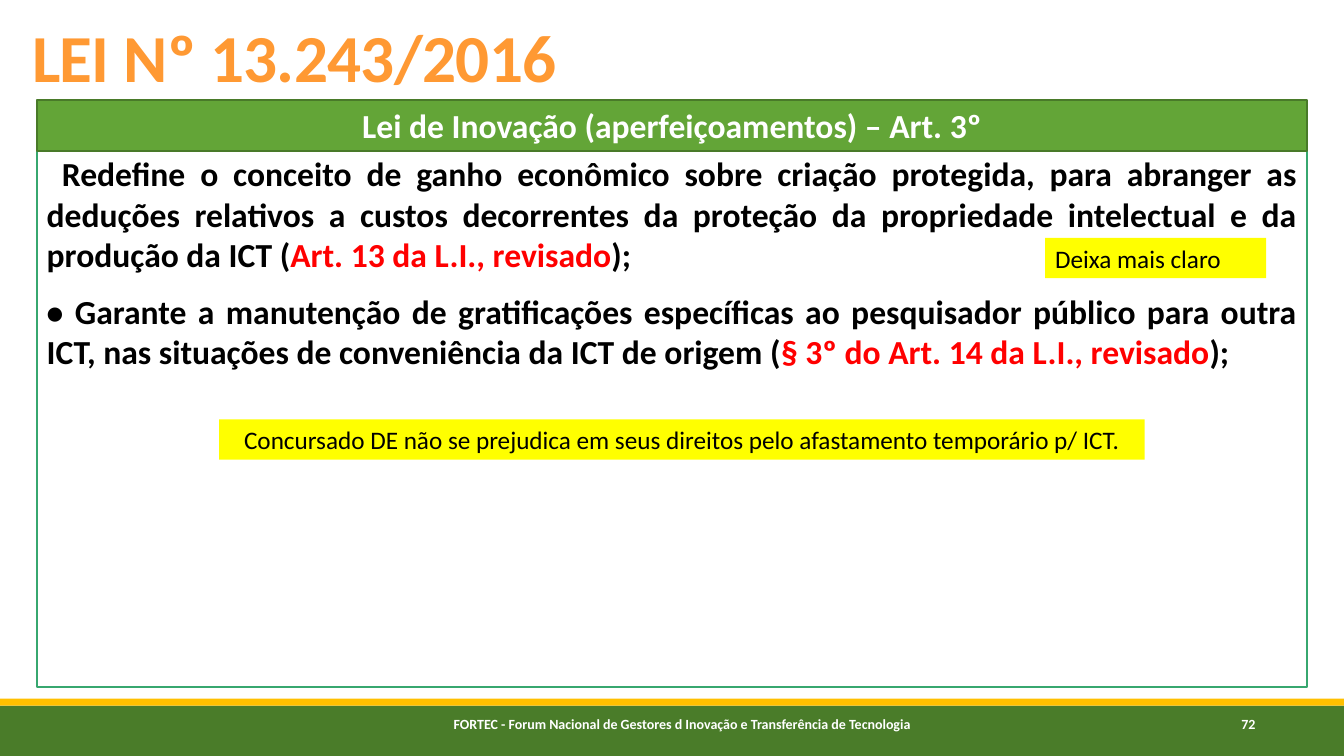
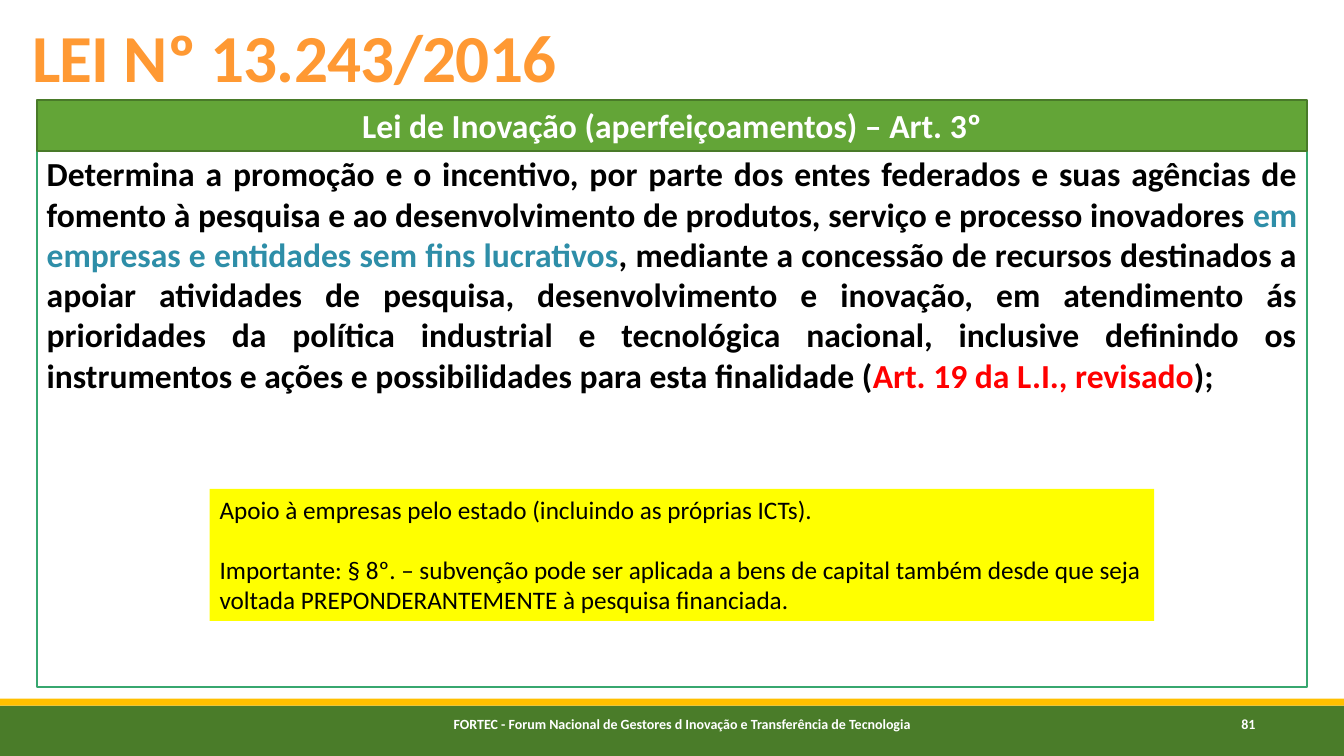
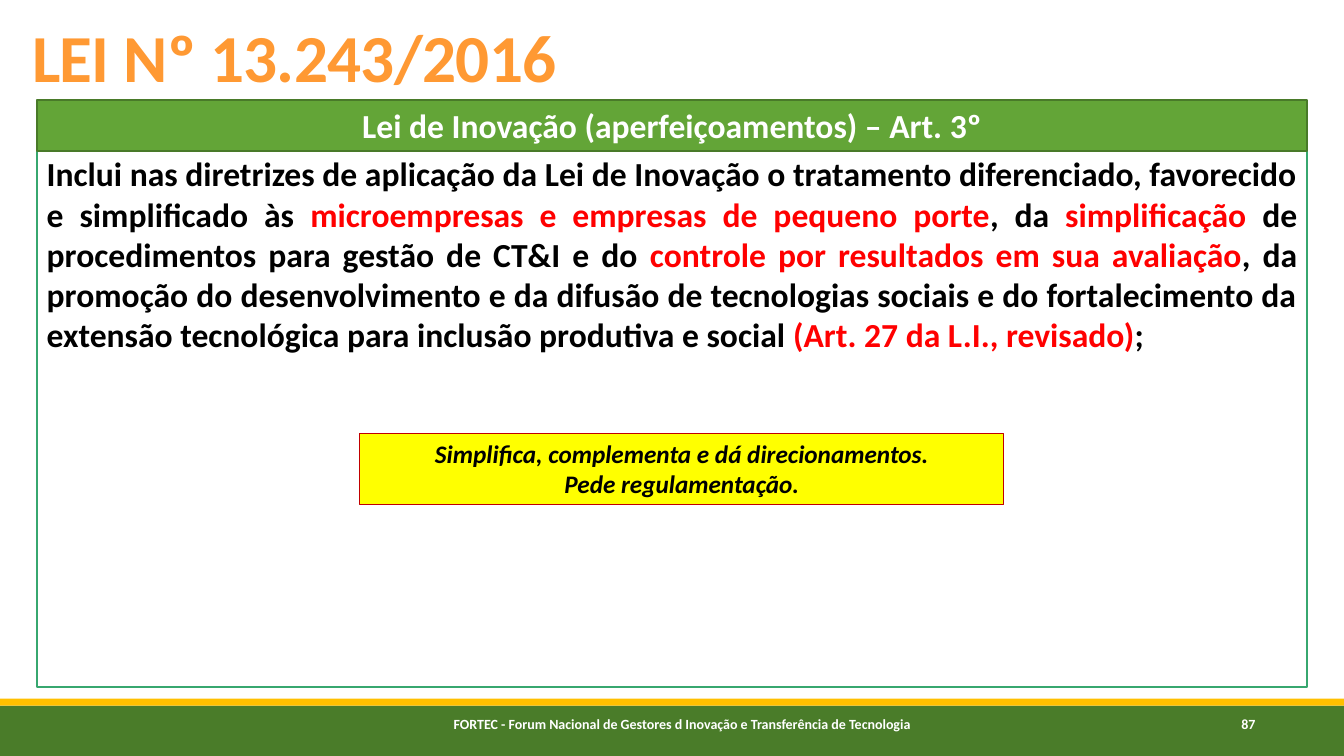
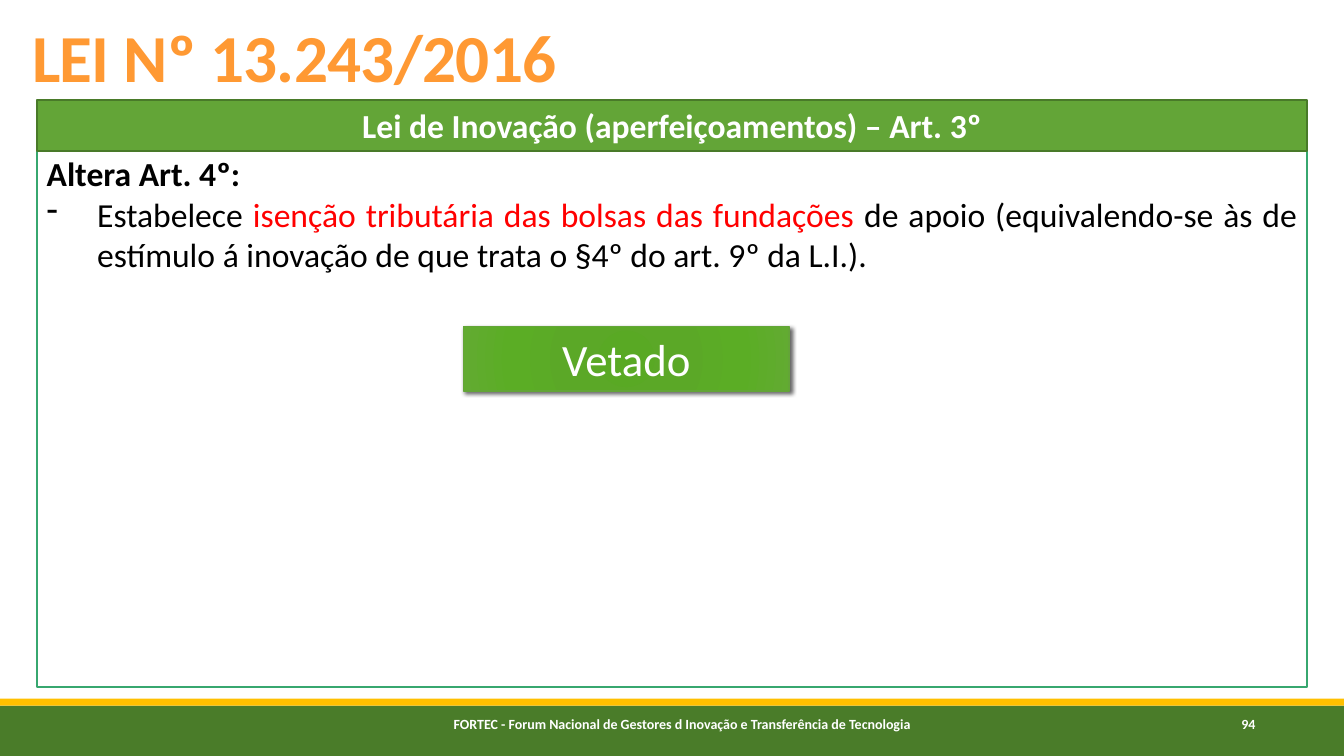
from dataclasses import dataclass
from typing import NamedTuple, Optional

from lxml import etree
from pptx import Presentation
from pptx.dml.color import RGBColor
from pptx.enum.shapes import MSO_SHAPE
from pptx.enum.text import MSO_ANCHOR, MSO_AUTO_SIZE, PP_ALIGN
from pptx.oxml import parse_xml
from pptx.oxml.ns import nsdecls, qn
from pptx.util import Inches, Pt

RECTANGLE = MSO_SHAPE.RECTANGLE
LEFT, CENTER, JUSTIFY = PP_ALIGN.LEFT, PP_ALIGN.CENTER, PP_ALIGN.JUSTIFY
TOP, MIDDLE, BOTTOM = MSO_ANCHOR.TOP, MSO_ANCHOR.MIDDLE, MSO_ANCHOR.BOTTOM
GROW, FIXED = MSO_AUTO_SIZE.SHAPE_TO_FIT_TEXT, MSO_AUTO_SIZE.NONE
TITLE_ONLY = 5
PAGE_WIDTH, PAGE_HEIGHT = Inches(13.333), Inches(7.5)


@dataclass(frozen=True)
class Theme:
    font: str = "Calibri"
    white: str = "FFFFFF"
    black: str = "000000"
    orange: str = "FF9933"
    band: str = "4A7C29"
    accent: str = "FFC000"
    header: str = "63A537"
    header_line: str = "497A29"
    body_line: str = "37A76F"
    note: str = "FFFF00"
    note_line: str = "C00000"
    red: str = "FF0000"
    blue: str = "2E8EA8"
    title_size: float = 48
    stamp_size: float = 32
    body_size: float = 24
    note_size: float = 18
    footer_size: float = 10


THEME = Theme()


class Frame(NamedTuple):
    """A rectangle in percent of the slide's width and height."""
    left: float
    top: float
    width: float
    height: float


class Span(NamedTuple):
    text: str
    color: str = THEME.black
    bold: bool = False
    italic: bool = False


class Para(NamedTuple):
    spans: list[Span]
    before: float = 0
    first_line: float = 0
    bullet: str = ""


class Style(NamedTuple):
    size: float
    align: PP_ALIGN = LEFT
    anchor: MSO_ANCHOR = TOP
    fill: Optional[str] = None
    line: Optional[str] = None
    line_width: float = 1.25
    grow: bool = False


class Note(NamedTuple):
    frame: Frame
    paras: list[Para]
    style: Style


class Content(NamedTuple):
    number: int
    body: list[Para]
    note: Note


MARGIN = 2.74
CONTENT_WIDTH = 100 - 2 * MARGIN
AXIS = 50.74
BAND_TOP = 93.33
FOOTER_TOP, FOOTER_HEIGHT = 94, 5.33

TITLE_FRAME = Frame(1.65, 1.87, 89.85, 11.47)
HEADER_FRAME = Frame(MARGIN, 13.2, CONTENT_WIDTH, 6.8)
BODY_FRAME = Frame(MARGIN, 19.6, CONTENT_WIDTH, 71.33)
NUMBER_FRAME = Frame(87.45, FOOTER_TOP, 10.88, FOOTER_HEIGHT)
BANDS = [
    (Frame(0, BAND_TOP, 100, 100 - BAND_TOP), THEME.band),
    (Frame(0, 92.4, 100, BAND_TOP - 92.4), THEME.accent),
]

FOOTER_STYLE = Style(THEME.footer_size, CENTER)
HEADER_STYLE = Style(THEME.body_size, CENTER, MIDDLE, THEME.header, THEME.header_line, grow=True)
BODY_STYLE = Style(THEME.body_size, JUSTIFY, TOP, THEME.white, THEME.body_line)
NOTE_STYLE = Style(THEME.note_size, fill=THEME.note, grow=True)
CENTERED_NOTE = NOTE_STYLE._replace(align=CENTER)
OUTLINED_NOTE = CENTERED_NOTE._replace(line=THEME.note_line, line_width=0.75)
STAMP_STYLE = Style(THEME.stamp_size, CENTER, TOP, THEME.header, THEME.header, 1, True)

TITLE = "LEI Nº 13.243/2016"
HEADER = "Lei de Inovação (aperfeiçoamentos) – Art. 3º"
FOOTER = "FORTEC - Forum Nacional de Gestores d Inovação e Transferência de Tecnologia"

STAMP_STOPS = [(0, "59A924"), (34, "5BA827"), (70, "5BAD25"), (100, "62AB31")]


def centered(width: float, top: float, height: float, axis: float = AXIS) -> Frame:
    return Frame(axis - width / 2, top, width, height)


def bold(text: str, color: str = THEME.black) -> Span:
    return Span(text, color, True)


def red(text: str) -> Span:
    return bold(text, THEME.red)


FOOTER_FRAME = centered(57.68, FOOTER_TOP, FOOTER_HEIGHT)

CONTENTS = [
    Content(
        72,
        [
            Para([
                bold("Redefine o conceito de ganho econômico sobre criação protegida, para abranger as "
                     "deduções relativos a custos decorrentes da proteção da propriedade intelectual e "
                     "da produção da ICT ("),
                red("Art. 13 da L.I., revisado"),
                bold(");"),
            ], first_line=0.15),
            Para([
                bold("• Garante a manutenção de gratificações específicas ao pesquisador público para "
                     "outra ICT, nas situações de conveniência da ICT de origem ("),
                red("§ 3º do Art. 14 da L.I., revisado"),
                bold(");"),
            ], before=12),
        ],
        Note(
            centered(68.86, 55.47, 5.33),
            [Para([Span("Concursado DE não se prejudica em seus direitos pelo afastamento "
                        "temporário p/ ICT.")])],
            CENTERED_NOTE,
        ),
    ),
    Content(
        81,
        [
            Para([
                bold("Determina a promoção e o incentivo, por parte dos entes federados e suas agências "
                     "de fomento à pesquisa e ao desenvolvimento de produtos, serviço e processo "
                     "inovadores "),
                bold("em empresas e entidades sem fins lucrativos", THEME.blue),
                bold(", mediante a concessão de recursos destinados a apoiar atividades de pesquisa, "
                     "desenvolvimento e inovação, em atendimento ás prioridades da política industrial "
                     "e tecnológica nacional, inclusive definindo os instrumentos e ações e "
                     "possibilidades para esta finalidade ("),
                red("Art. 19 da L.I., revisado"),
                bold(");"),
            ]),
        ],
        Note(
            centered(70.28, 64.67, 17.47),
            [
                Para([Span("Apoio à empresas pelo estado (incluindo as próprias ICTs).")]),
                Para([Span("Importante: § 8º. – subvenção pode ser aplicada a bens de capital também "
                           "desde que seja voltada PREPONDERANTEMENTE à pesquisa financiada.")],
                     before=21.6),
            ],
            NOTE_STYLE,
        ),
    ),
    Content(
        87,
        [
            Para([
                bold("Inclui nas diretrizes de aplicação da Lei de Inovação o tratamento diferenciado, "
                     "favorecido e simplificado às "),
                red("microempresas e empresas de pequeno porte"),
                bold(", da "),
                red("simplificação "),
                bold("de procedimentos para gestão de CT&I e do "),
                red("controle por resultados em sua avaliação"),
                bold(", da promoção do desenvolvimento e da difusão de tecnologias sociais e do "
                     "fortalecimento da extensão tecnológica para inclusão produtiva e social "),
                red("(Art. 27 da L.I., revisado)"),
                bold(";"),
            ]),
        ],
        Note(
            centered(47.93, 57.33, 9.47),
            [Para([Span(text, bold=True, italic=True)])
             for text in ("Simplifica, complementa e dá direcionamentos.", "Pede regulamentação.")],
            OUTLINED_NOTE,
        ),
    ),
    Content(
        94,
        [
            Para([bold("Altera Art. 4º:")]),
            Para([
                Span("Estabelece "),
                Span("isenção tributária das bolsas das fundações ", THEME.red),
                Span("de apoio (equivalendo-se às de estímulo á inovação de que trata o §4º do "
                     "art. 9º da L.I.)."),
            ], bullet="-"),
        ],
        Note(
            centered(24.23, 43.2, 8.53, axis=46.61),
            [Para([Span("Vetado", THEME.white)])],
            STAMP_STYLE,
        ),
    ),
]

CLEARER_NOTE = Note(centered(16.43, 31.47, 5.33, axis=85.99),
                    [Para([Span("Deixa mais claro")])], NOTE_STYLE)


def place(frame: Frame) -> tuple[int, int, int, int]:
    return (int(PAGE_WIDTH * frame.left / 100), int(PAGE_HEIGHT * frame.top / 100),
            int(PAGE_WIDTH * frame.width / 100), int(PAGE_HEIGHT * frame.height / 100))


def write(text_frame, paras: list[Para], style: Style) -> None:
    text_frame.word_wrap = True
    text_frame.auto_size = GROW if style.grow else FIXED
    text_frame.vertical_anchor = style.anchor
    for index, content in enumerate(paras):
        para = text_frame.paragraphs[0] if index == 0 else text_frame.add_paragraph()
        para.alignment = style.align
        para.space_before = Pt(content.before)
        properties = para._p.get_or_add_pPr()
        if content.first_line:
            properties.set("indent", str(Inches(content.first_line)))
        if content.bullet:
            properties.set("marL", str(Inches(0.5)))
            properties.set("indent", str(-Inches(0.5)))
            etree.SubElement(properties, qn("a:buChar")).set("char", content.bullet)
        for span in content.spans:
            run = para.add_run()
            run.text = span.text
            run.font.name = THEME.font
            run.font.size = Pt(style.size)
            run.font.bold = span.bold
            run.font.italic = span.italic
            run.font.color.rgb = RGBColor.from_string(span.color)


def add_box(page, frame: Frame, paras: list[Para], style: Style):
    """Add a filled rectangle, or a plain text box when the style has no fill."""
    if style.fill:
        box = page.shapes.add_shape(RECTANGLE, *place(frame))
        box.shadow.inherit = False
        box.fill.solid()
        box.fill.fore_color.rgb = RGBColor.from_string(style.fill)
        if style.line:
            box.line.color.rgb = RGBColor.from_string(style.line)
            box.line.width = Pt(style.line_width)
        else:
            box.line.fill.background()
    else:
        box = page.shapes.add_textbox(*place(frame))
    write(box.text_frame, paras, style)
    return box


def add_bands(layout, page) -> None:
    """Draw the bands once and move them to the layout, behind its placeholders."""
    for position, (frame, color) in enumerate(BANDS, start=2):
        band = add_box(page, frame, [], Style(THEME.footer_size, fill=color))
        layout.shapes.element.insert(position, band.element)


def set_title(page) -> None:
    title = page.shapes.title
    title.left, title.top, title.width, title.height = place(TITLE_FRAME)
    write(title.text_frame, [Para([bold(TITLE, THEME.orange)])],
          Style(THEME.title_size, LEFT, BOTTOM))
    title.text_frame.paragraphs[0].line_spacing = 0.85
    for properties in title.element.iter(qn("a:rPr")):
        properties.set("spc", "-50")


def emboss(box) -> None:
    """Give a box the radial green gradient and the cast shadow of a stamp."""
    stops = "".join(f'<a:gs pos="{share * 1000}"><a:srgbClr val="{color}"/></a:gs>'
                    for share, color in STAMP_STOPS)
    gradient = parse_xml(
        f'<a:gradFill {nsdecls("a")} rotWithShape="1"><a:gsLst>{stops}</a:gsLst>'
        '<a:path path="circle"><a:fillToRect l="100000" t="100000" r="100000" b="100000"/>'
        '</a:path></a:gradFill>')
    shadow = parse_xml(
        f'<a:outerShdw {nsdecls("a")} blurRad="{Pt(3)}" dist="{Pt(2)}" dir="2700000" '
        f'rotWithShape="0"><a:srgbClr val="{THEME.black}"><a:alpha val="60000"/></a:srgbClr>'
        '</a:outerShdw>')
    properties = box.element.spPr
    properties.replace(properties.find(qn("a:solidFill")), gradient)
    properties.find(qn("a:effectLst")).append(shadow)


def add_page(deck, content: Content):
    page = deck.slides.add_slide(deck.slide_layouts[TITLE_ONLY])
    add_box(page, NUMBER_FRAME, [Para([bold(str(content.number), THEME.white)])], FOOTER_STYLE)
    set_title(page)
    add_box(page, FOOTER_FRAME, [Para([bold(FOOTER, THEME.white)])], FOOTER_STYLE)
    add_box(page, BODY_FRAME, content.body, BODY_STYLE)
    add_box(page, HEADER_FRAME, [Para([bold(HEADER, THEME.white)])], HEADER_STYLE)
    note = add_box(page, *content.note)
    if content.note.style is STAMP_STYLE:
        emboss(note)
    return page


def main() -> None:
    deck = Presentation()
    deck.slide_width, deck.slide_height = PAGE_WIDTH, PAGE_HEIGHT
    pages = [add_page(deck, content) for content in CONTENTS]
    add_box(pages[0], *CLEARER_NOTE)
    add_bands(deck.slide_layouts[TITLE_ONLY], pages[0])
    deck.save("out.pptx")


if __name__ == "__main__":
    main()
